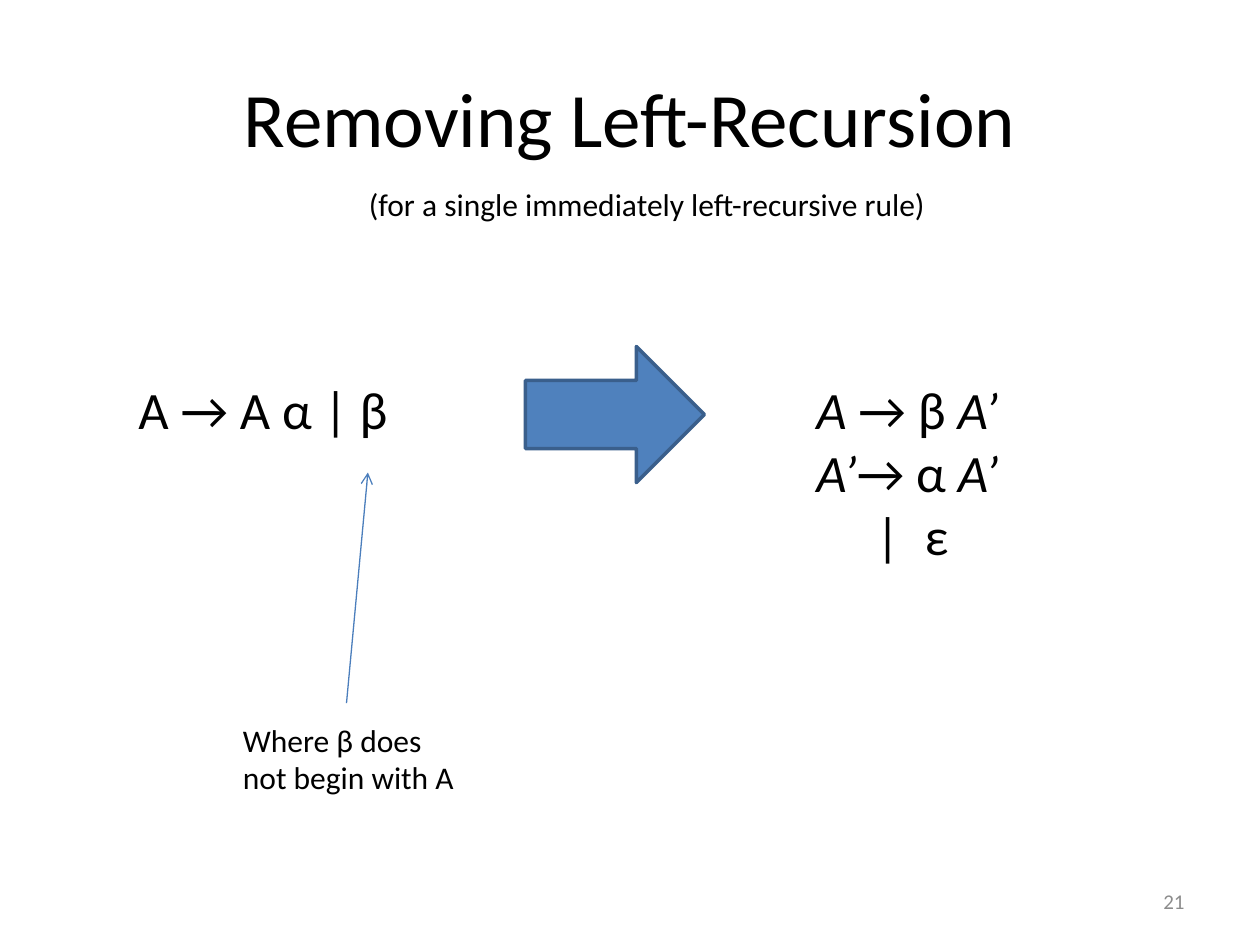
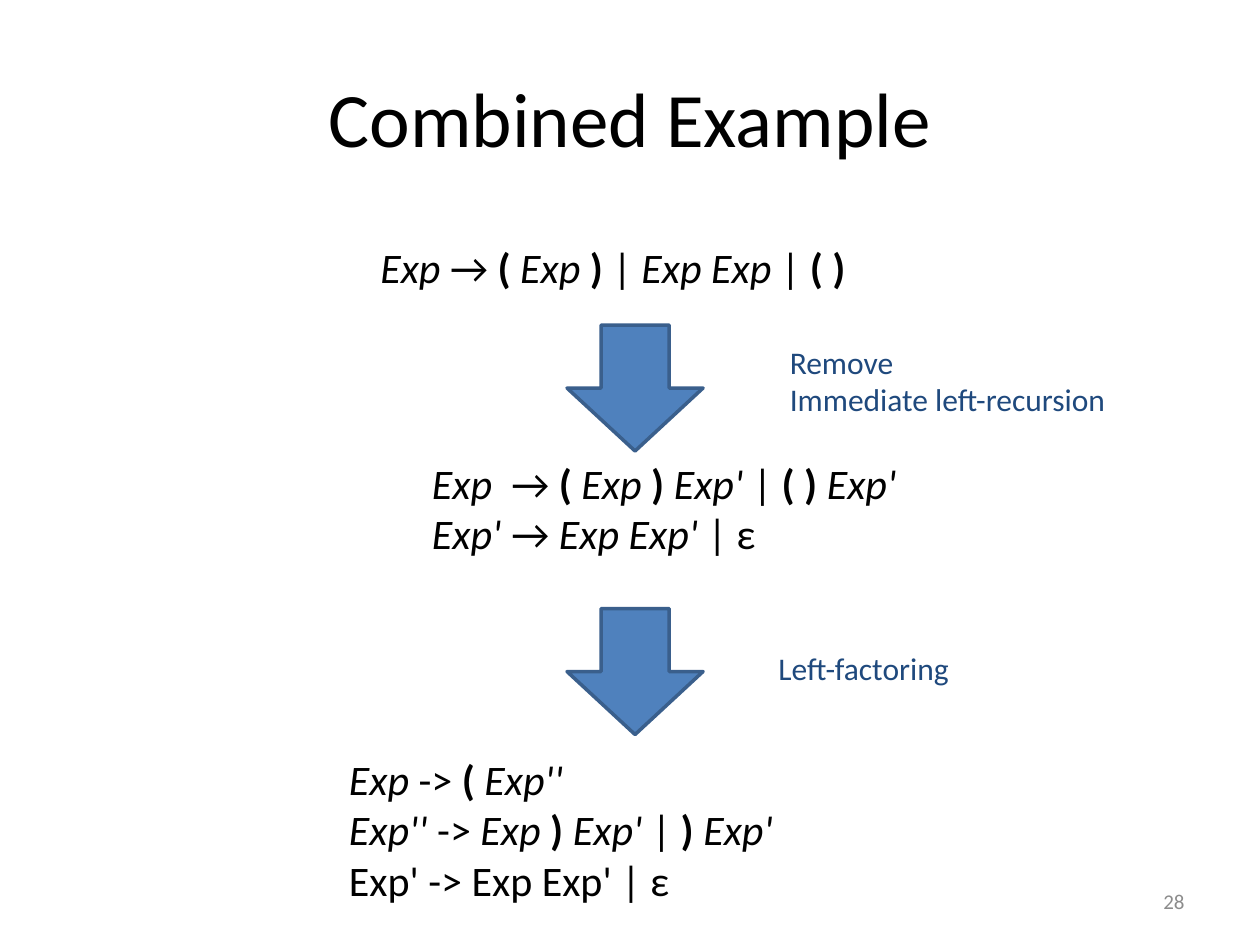
import dataclasses

import pptx
import pptx.dml.color
import pptx.enum.shapes
import pptx.enum.text
import pptx.oxml
import pptx.oxml.ns
import pptx.util

Inches = pptx.util.Inches
Pt = pptx.util.Pt
ALIGN = pptx.enum.text.PP_ALIGN
ANCHOR = pptx.enum.text.MSO_ANCHOR
TITLE_ONLY = 5


def rgb(value):
    return pptx.dml.color.RGBColor.from_string(value)


@dataclasses.dataclass(frozen=True)
class Theme:
    font: str = "Calibri"
    text: str = "000000"
    step: str = "1F497D"
    number: str = "8C8C8C"
    arrow_fill: str = "4F81BD"
    arrow_line: str = "3A5F8C"
    pointer: str = "4B7EBC"
    title_size: int = 44
    rule_size: int = 30
    grammar_size: int = 24
    note_size: int = 18
    number_size: int = 12


THEME = Theme()
RUN_STYLES = {
    "": {"bold": False, "italic": False},
    "i": {"bold": False, "italic": True},
    "b": {"bold": True, "italic": False},
}


def set_all(target, values):
    for name, value in values.items():
        setattr(target, name, value)


def add_run(paragraph, text, size, color, style=""):
    run = paragraph.add_run()
    run.text = text
    set_all(run.font, {"name": THEME.font, "size": Pt(size), **RUN_STYLES[style]})
    run.font.color.rgb = rgb(color)


def add_tab_stops(paragraph, stops):
    tab_list = pptx.oxml.parse_xml(f"<a:tabLst {pptx.oxml.ns.nsdecls('a')}/>")
    for stop in stops:
        tab_list.append(pptx.oxml.parse_xml(
            f'<a:tab {pptx.oxml.ns.nsdecls("a")} pos="{Inches(stop)}" algn="l"/>'))
    paragraph._p.get_or_add_pPr().append(tab_list)


def add_text(slide, box, lines, size, color=THEME.text, wrap=True,
             anchor=ANCHOR.TOP, align=ALIGN.LEFT, tabs=()):
    """Each line is a plain string or a list of (text, style) pairs."""
    frame = slide.shapes.add_textbox(*map(Inches, box)).text_frame
    set_all(frame, {
        "word_wrap": wrap,
        "vertical_anchor": anchor,
        "auto_size": pptx.enum.text.MSO_AUTO_SIZE.SHAPE_TO_FIT_TEXT,
    })
    for index, line in enumerate(lines):
        paragraph = frame.add_paragraph() if index else frame.paragraphs[0]
        paragraph.alignment = align
        if tabs:
            add_tab_stops(paragraph, tabs)
        for text, style in [(line, "")] if isinstance(line, str) else line:
            add_run(paragraph, text, size, color, style)


def add_block_arrow(slide, box, rotation=0):
    arrow = slide.shapes.add_shape(
        pptx.enum.shapes.MSO_SHAPE.RIGHT_ARROW, *map(Inches, box))
    arrow.rotation = rotation
    arrow.shadow.inherit = False
    arrow.fill.solid()
    arrow.fill.fore_color.rgb = rgb(THEME.arrow_fill)
    arrow.line.color.rgb = rgb(THEME.arrow_line)
    arrow.line.width = Pt(2)


def add_pointer(slide, start, end):
    pointer = slide.shapes.add_connector(
        pptx.enum.shapes.MSO_CONNECTOR.STRAIGHT, *map(Inches, start + end))
    pointer.line.color.rgb = rgb(THEME.pointer)
    pointer.line.width = Pt(0.75)
    namespace = pptx.oxml.ns.nsdecls("a")
    pointer.line._get_or_add_ln().append(
        pptx.oxml.parse_xml(f'<a:tailEnd {namespace} type="arrow"/>'))
    pointer._element.spPr.append(pptx.oxml.parse_xml(f"<a:effectLst {namespace}/>"))


def add_titled_slide(deck, title, number):
    slide = deck.slides.add_slide(deck.slide_layouts[TITLE_ONLY])
    heading = slide.shapes.title
    set_all(heading, {"left": Inches(0.5), "top": Inches(0.3),
                      "width": Inches(9), "height": Inches(1.25)})
    heading.text_frame.vertical_anchor = ANCHOR.MIDDLE
    paragraph = heading.text_frame.paragraphs[0]
    paragraph.alignment = ALIGN.CENTER
    add_run(paragraph, title, THEME.title_size, THEME.text)
    add_text(slide, (7.17, 6.99, 2.33, 0.32), [str(number)], THEME.number_size,
             THEME.number, anchor=ANCHOR.MIDDLE, align=ALIGN.RIGHT)
    return slide


def build_left_recursion(deck):
    slide = add_titled_slide(deck, "Removing Left-Recursion", 21)
    add_text(slide, (2.83, 1.42, 5, 0.4),
             ["(for a single immediately left-recursive rule)"], THEME.note_size)
    add_text(slide, (1, 2.94, 2.2, 0.61), ["A → A α | β"],
             THEME.rule_size, wrap=False)
    add_block_arrow(slide, (4.17, 2.75, 1.42, 1.08))
    rewritten = [
        [("A", "i"), (" → β ", ""), ("A’", "i")],
        [("A’", "i"), ("→ α ", ""), ("A’", "i")],
        "\t|\tε",
    ]
    add_text(slide, (6.38, 2.94, 1.81, 1.62), rewritten,
             THEME.rule_size, tabs=(0.47, 0.86))
    add_pointer(slide, (2.75, 5.58), (2.92, 3.75))
    add_text(slide, (1.83, 5.67, 1.89, 0.71),
             ["Where β does", "not begin with A"], THEME.note_size, wrap=False)


def build_combined_example(deck):
    slide = add_titled_slide(deck, "Combined Example", 28)
    start = [
        [("Exp ", "i"), ("→ ", ""), ("( ", "b"), ("Exp ", "i"), (")", "b"),
         (" | ", ""), ("Exp Exp", "i"), (" | ", ""), ("( )", "b")],
    ]
    without_recursion = [
        [("Exp", "i"), ("\t→ ", ""), ("( ", "b"), ("Exp ", "i"), (") ", "b"),
         ("Exp'", "i"), (" | ", ""), ("( ) ", "b"), ("Exp'", "i")],
        [("Exp'", "i"), ("\t→ ", ""), ("Exp Exp'", "i"), (" | ε", "")],
    ]
    factored = [
        [("Exp ", "i"), ("-> ", ""), ("( ", "b"), ("Exp''", "i")],
        [("Exp''", "i"), (" -> ", ""), ("Exp ", "i"), (") ", "b"),
         ("Exp'", "i"), (" | ", ""), (") ", "b"), ("Exp'", "i")],
        "Exp' -> Exp Exp' | ε",
    ]
    add_text(slide, (2.92, 1.87, 5.67, 0.5), start, THEME.grammar_size,
             anchor=ANCHOR.MIDDLE)
    add_text(slide, (3.33, 3.58, 5, 0.91), without_recursion,
             THEME.grammar_size, tabs=(0.63,))
    add_text(slide, (2.67, 5.93, 5.92, 1.31), factored, THEME.grammar_size)

    steps = [
        (2.54, (6.17, 2.67, 2.75, 0.71), ["Remove", "Immediate left-recursion"]),
        (4.79, (6.08, 5.1, 1.59, 0.4), ["Left-factoring"]),
    ]
    for arrow_top, label_box, label in steps:
        add_block_arrow(slide, (4.54, arrow_top, 1, 1.08), rotation=90)
        add_text(slide, label_box, label, THEME.note_size, THEME.step, wrap=False)


def main():
    deck = pptx.Presentation()
    deck.slide_width = Inches(10)
    deck.slide_height = Inches(7.5)
    build_left_recursion(deck)
    build_combined_example(deck)
    deck.save("out.pptx")


if __name__ == "__main__":
    main()
